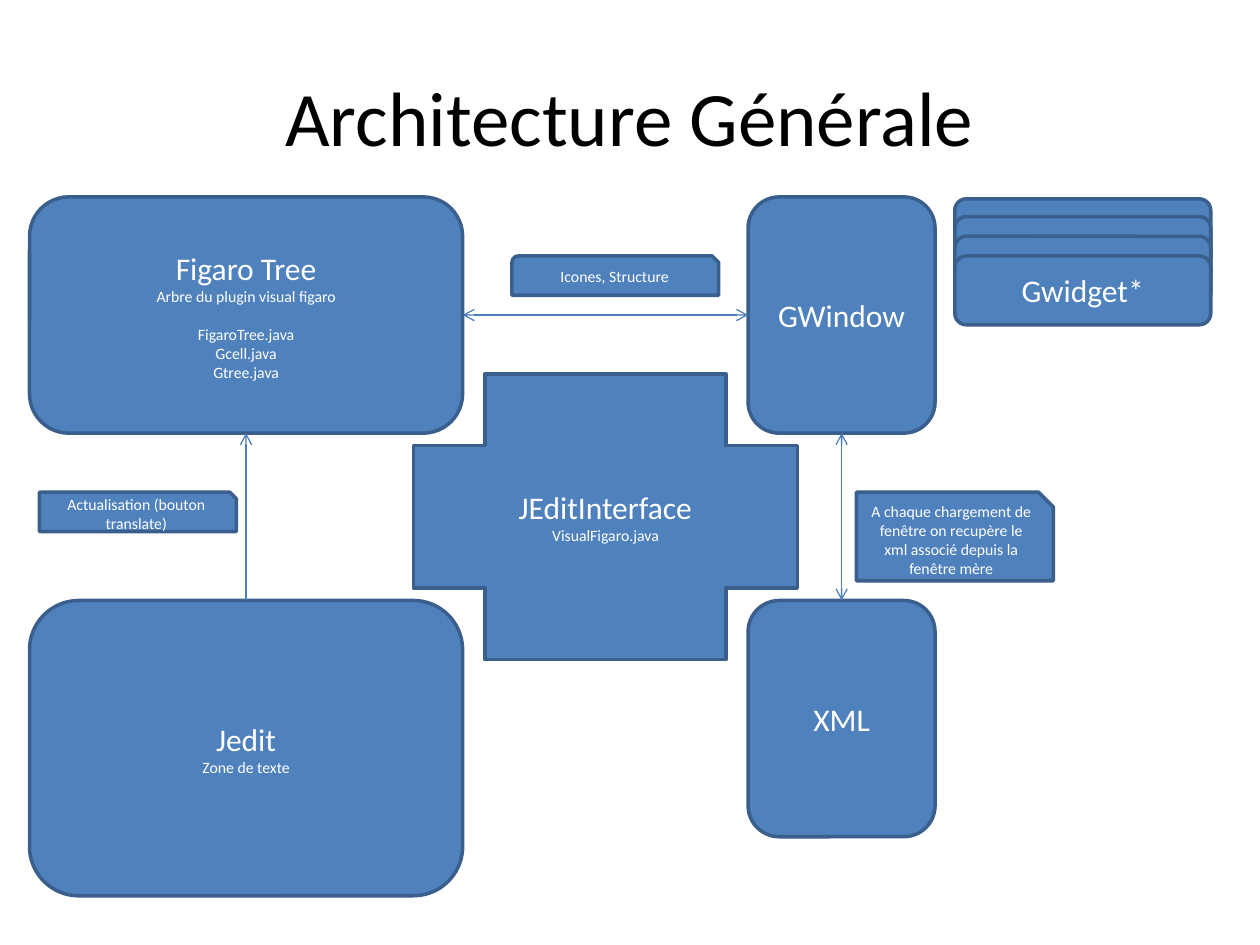
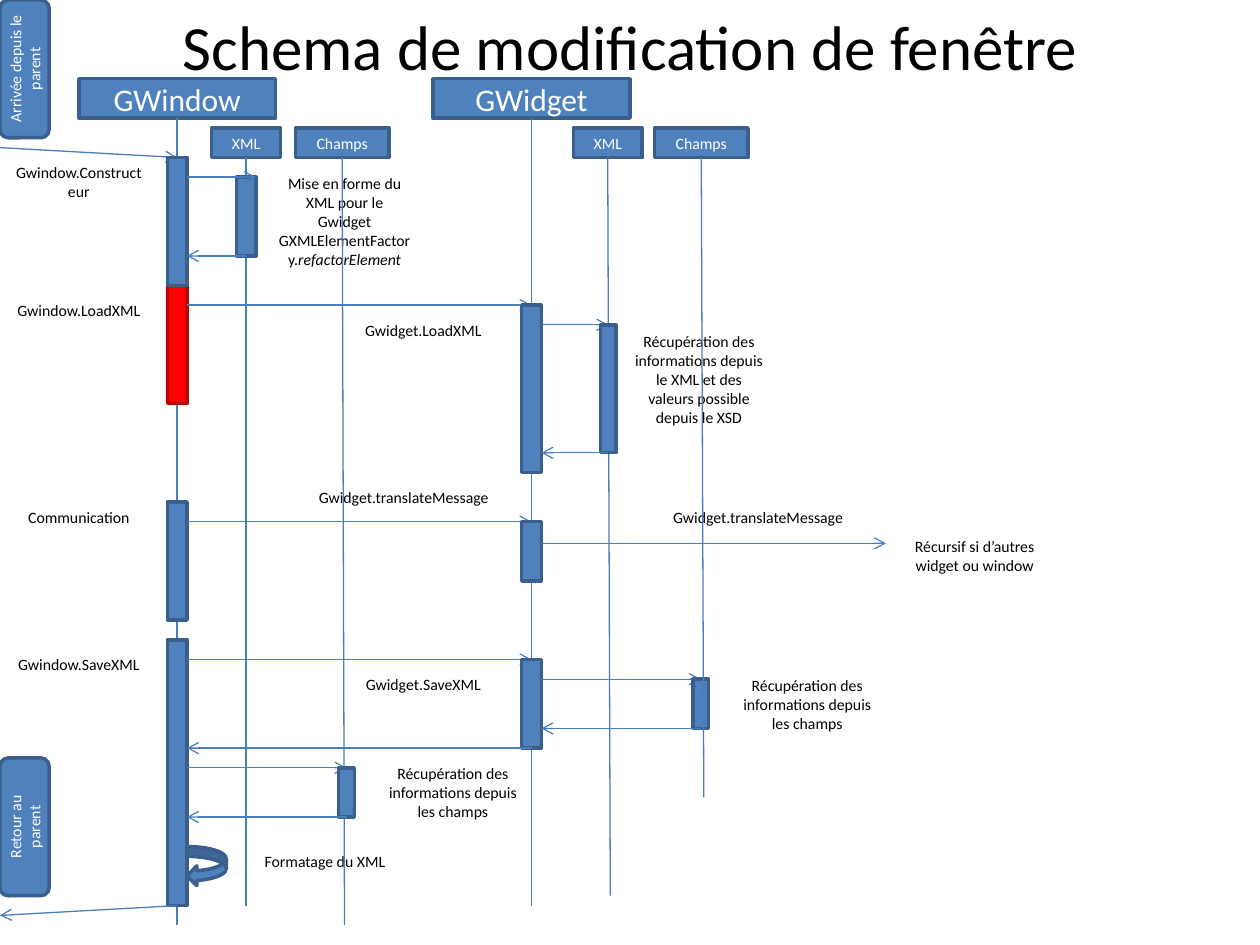
from lxml.etree import SubElement
from pptx import Presentation
from pptx.dml.color import RGBColor
from pptx.enum.shapes import MSO_CONNECTOR, MSO_SHAPE
from pptx.enum.text import MSO_ANCHOR, PP_ALIGN
from pptx.oxml.ns import qn
from pptx.util import Inches, Pt

UNIT = 10 / 64
FONT = "Calibri"
BLUE, EDGE, WIRE = "4F81BD", "3A5F8C", "4B7EBC"
RED, DARK = "FF0000", "C00000"
WHITE, BLACK = "FFFFFF", "000000"
TOP, LEFT, BOTTOM, RIGHT = range(4)
ROUND, RECT, SNIP = (MSO_SHAPE.ROUNDED_RECTANGLE, MSO_SHAPE.RECTANGLE,
                     MSO_SHAPE.SNIP_1_RECTANGLE)
BIG, SMALL = 18, 9
WINDOW, WIDGET = 9, 27
FIELDS = "Récupération des informations depuis les champs"


def color(code):
    """Turn a hex string into a colour."""
    return RGBColor.from_string(code)


def units(*cells):
    """Turn grid cells, 64 across the slide, into lengths."""
    return [Inches(cell * UNIT) for cell in cells]


def write(shape, *lines, size=SMALL, ink=WHITE, sub=SMALL, gap=None, slant="", vert=None):
    """Write centred lines, the first in size and the others in sub."""
    frame = shape.text_frame
    frame.word_wrap = True
    frame.vertical_anchor = MSO_ANCHOR.MIDDLE
    if vert:
        frame._txBody.bodyPr.set("vert", vert)
    for row, line in enumerate(lines):
        para = frame.add_paragraph() if row else frame.paragraphs[0]
        para.alignment = PP_ALIGN.CENTER
        if gap == row:
            para.space_before = Pt(11)
        for part, italic in ((line, False), (slant, True)):
            if part:
                run = para.add_run()
                run.text = part
                font = run.font
                font.name, font.size = FONT, Pt(sub if row else size)
                font.italic = italic
                font.color.rgb = color(ink)
    return shape


def block(slide, kind, cells, *lines, fill=BLUE, edge=EDGE, **style):
    """Draw a filled shape with optional text."""
    shape = slide.shapes.add_shape(kind, *units(*cells))
    shape.shadow.inherit = False
    shape.fill.solid()
    shape.fill.fore_color.rgb = color(fill)
    shape.line.color.rgb = color(edge)
    shape.line.width = Pt(2)
    return write(shape, *lines, **style) if lines else shape


def label(slide, cells, line, size=SMALL, **style):
    """Place plain black text."""
    return write(slide.shapes.add_textbox(*units(*cells)), line, size=size, ink=BLACK, **style)


def wire(slide, start, end, ends=("tail",)):
    """Draw a thin line with arrowheads at the named ends."""
    line = slide.shapes.add_connector(MSO_CONNECTOR.STRAIGHT, *units(*start, *end))
    line.line.color.rgb = color(WIRE)
    line.line.width = Pt(0.75)
    stroke = line.line._get_or_add_ln()
    for name in ends:
        SubElement(stroke, qn(f"a:{name}End"), type="arrow")
    SubElement(line._element.spPr, qn("a:effectLst"))
    return line


def join(slide, first, out, last, into, ends):
    """Link the sides of two blocks."""
    line = wire(slide, (0, 0), (1, 1), ends)
    line.begin_connect(first, out)
    line.end_connect(last, into)


def actor(slide, name, x, y, wide, tall, end, size=SMALL):
    """Draw a header box and the lifeline below it."""
    head = block(slide, RECT, (x - wide / 2, y, wide, tall), name, size=size)
    wire(slide, (x, y + tall), end, ()).begin_connect(head, BOTTOM)


def bar(slide, x, y, tall, wide=1, call=None, back=None, **style):
    """Draw an activity bar with its incoming call and its return."""
    line = wire(slide, call, (x, y)) if call else None
    shape = block(slide, RECT, (x - wide / 2, y, wide, tall), **style)
    if line:
        line.end_connect(shape, TOP)
    if back:
        wire(slide, (x, y + tall), back).begin_connect(shape, BOTTOM)


def overview(slide):
    """Build the architecture slide."""
    label(slide, (3.2, 1.9, 57.6, 8), "Architecture Générale", size=44)
    jedit = block(slide, ROUND, (1.5, 30.5, 22, 15), "Jedit", "Zone de texte", size=BIG)
    tree = block(slide, ROUND, (1.5, 10, 22, 12), "Figaro Tree",
                 "Arbre du plugin visual figaro", "FigaroTree.java", "Gcell.java",
                 "Gtree.java", size=BIG, gap=2)
    block(slide, MSO_SHAPE.CROSS, (21, 19, 19.5, 14.5), "JEditInterface",
          "VisualFigaro.java", size=BIG)
    window, xml = [block(slide, ROUND, (38, y, 9.5, 12), name, size=BIG)
                   for y, name in ((10, "GWindow"), (30.5, "XML"))]
    for y in (10.1, 11, 12):
        block(slide, ROUND, (48.5, y, 13, 3.5))
    block(slide, ROUND, (48.5, 13, 13, 3.5), "Gwidget*", size=BIG)
    both = ("head", "tail")
    join(slide, window, BOTTOM, xml, TOP, both)
    join(slide, tree, RIGHT, window, LEFT, both)
    join(slide, jedit, TOP, tree, BOTTOM, ("tail",))
    block(slide, MSO_SHAPE.SNIP_ROUND_RECTANGLE, (26, 13, 10.5, 2), "Icones, Structure")
    block(slide, SNIP, (2, 25, 10, 2), "Actualisation (bouton translate)")
    block(slide, SNIP, (43.5, 25, 10, 4.5),
          "A chaque chargement de fenêtre on recupère le xml associé depuis la fenêtre mère")


def sequence(slide):
    """Build the sequence diagram slide."""
    label(slide, (3.2, 0.5, 57.6, 3.6), "Schema de modification de fenêtre", size=36)
    actor(slide, "GWindow", WINDOW, 4, 10, 2, (WINDOW, 47), BIG)
    actor(slide, "GWidget", WIDGET, 4, 10, 2, (WIDGET, 46), BIG)
    actor(slide, "XML", 12.5, 6.5, 3.5, 1.5, (12.5, 46))
    actor(slide, "XML", 30.87, 6.5, 3.5, 1.5, (31, 45.5))

    near, far = WINDOW + 0.5, WIDGET + 0.5
    bar(slide, WINDOW, 14.5, 6, fill=RED, edge=DARK)
    bar(slide, WINDOW, 8, 6.5, call=(0, 7.5))
    bar(slide, WINDOW, 25.5, 6)
    bar(slide, WINDOW, 32.5, 13.5, back=(0, 46.5))
    bar(slide, WIDGET, 15.5, 8.5, call=(near, 15.5))
    bar(slide, WIDGET, 26.5, 3, call=(near, 26.5))
    bar(slide, WIDGET, 33.5, 4.5, call=(near, 33.5), back=(near, 38))
    bar(slide, 12.5, 9, 4, back=(near, 13))
    wire(slide, (near, 9), (13, 9))
    bar(slide, 30.9, 16.5, 6.5, 0.8, call=(far, 16.5), back=(far, 23))
    bar(slide, 35.6, 34.5, 2.5, 0.8, call=(far, 34.5), back=(far, 37))
    wire(slide, (far, 27.6), (45, 27.6))

    for x, y, wide, name in (
            (0, 8.5, 8, "Gwindow.Constructeur"), (0, 15, 8, "Gwindow.LoadXML"),
            (0, 25.5, 8, "Communication"), (0, 33, 8, "Gwindow.SaveXML"),
            (17, 16, 9, "Gwidget.LoadXML"), (17, 34, 9, "Gwidget.SaveXML"),
            (15, 24.5, 11, "Gwidget.translateMessage"),
            (33, 25.5, 11, "Gwidget.translateMessage"), (12, 43, 9, "Formatage du XML")):
        label(slide, (x, y, wide, 1.5), name)
    for x, y, note, slant in (
            (13.5, 9, "Mise en forme du XML pour le Gwidget GXMLElementFactory.",
             "refactorElement"),
            (31.5, 17, "Récupération des informations depuis le XML et des valeurs "
             "possible depuis le XSD", ""),
            (45.5, 26, "Récursif si d’autres widget ou window", ""),
            (37, 33.5, FIELDS, ""), (19, 38, FIELDS, "")):
        label(slide, (x, y, 8, 4.5), note, slant=slant)

    actor(slide, "Champs", 17.38, 6.5, 4.75, 1.5, (17.5, 47))
    actor(slide, "Champs", 35.62, 6.5, 4.75, 1.5, (35.75, 40.5))
    bar(slide, 17.6, 39, 2.5, 0.8, call=(near, 39), back=(near, 41.5))
    block(slide, MSO_SHAPE.CURVED_LEFT_ARROW, (near, 43, 2, 2))
    for y, name in ((0, "Arrivée depuis le parent"), (38.5, "Retour au parent")):
        block(slide, ROUND, (0, y, 2.5, 7), name, vert="vert270")


def main():
    """Build and save the deck."""
    deck = Presentation()
    deck.slide_width, deck.slide_height = units(64, 48)
    for build in (overview, sequence):
        build(deck.slides.add_slide(deck.slide_layouts[6]))
    deck.save("out.pptx")


if __name__ == "__main__":
    main()
